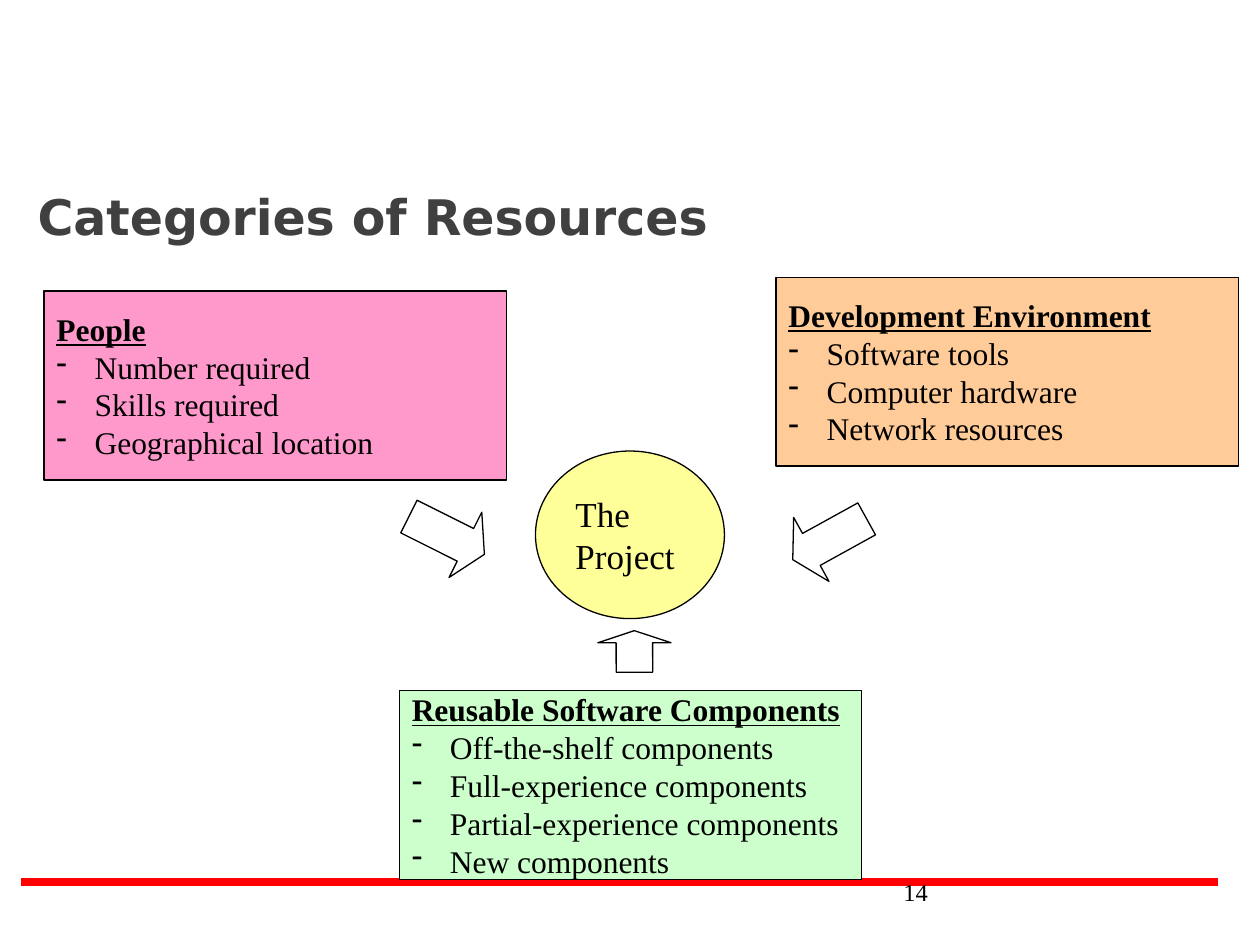
from pptx import Presentation
from pptx.dml.color import RGBColor as RGB
from pptx.enum.shapes import MSO_CONNECTOR as Conn, MSO_SHAPE as Geo
from pptx.enum.text import MSO_ANCHOR as Anchor, PP_ALIGN as Align
from pptx.oxml.ns import qn
from pptx.util import Inches, Pt
from lxml.etree import SubElement
from dataclasses import dataclass


@dataclass(frozen=True)
class Theme:
    white: str = "FFFFFF"
    black: str = "000000"
    gray: str = "404040"
    red: str = "FF0000"
    pink: str = "FF99CC"
    peach: str = "FFCC99"
    green: str = "CCFFCC"
    yellow: str = "FFFF99"
    serif: str = "Times New Roman"
    sans: str = "DejaVu Sans"
    title: int = 28
    hub: int = 20
    body: int = 18
    page: int = 14
    edge: float = 0.75
    rule: float = 4.5


T = Theme()
BOX = (3.67, 1.5)
ARROW = (0.67, 0.58)
DASH = 0.24  # hanging indent of the dash lists

GROUPS = [
    ((0.35, 2.31), T.pink, "People",
     ["Number required", "Skills required", "Geographical location"]),
    ((6.16, 2.2), T.peach, "Development Environment",
     ["Software tools", "Computer hardware", "Network resources"]),
    ((3.17, 5.48), T.green, "Reusable Software Components",
     ["Off-the-shelf components", "Full-experience components",
      "Partial-experience components", "New components"]),
]
# Position, size and turn of each arrow aimed at the hub
ARROWS = [
    ((3.21, 3.96), ARROW, 26.6),
    ((6.25, 3.99), ARROW, 151.1),
    ((4.87, 4.88), (0.33, 0.58), 269.9),
]


def inch(*vals):
    return [Inches(v) for v in vals]


def shape(slide, geo, pos, size, fill, edge=T.black):
    item = slide.shapes.add_shape(geo, *inch(*pos, *size))
    item.shadow.inherit = False
    item.fill.solid()
    item.fill.fore_color.rgb = RGB.from_string(fill)
    if edge:
        item.line.color.rgb = RGB.from_string(edge)
        item.line.width = Pt(T.edge)
    else:
        item.line.fill.background()
    return item


def frame(item):
    text = item.text_frame
    text.word_wrap = True
    text.vertical_anchor = Anchor.MIDDLE
    return text


def write(para, words, points, color=T.black, name=T.serif, **more):
    para.alignment = Align.LEFT
    run = para.add_run()
    run.text = words
    look = {"size": Pt(points), "name": name, **more}
    for key, val in look.items():
        setattr(run.font, key, val)
    run.font.color.rgb = RGB.from_string(color)


def dash(para):
    props = para._p.get_or_add_pPr()
    props.set("marL", str(Inches(DASH)))
    props.set("indent", str(-Inches(DASH)))
    SubElement(props, qn("a:buChar")).set("char", "-")


def label(slide, pos, size, words, points, left=0.1, **look):
    text = frame(slide.shapes.add_textbox(*inch(*pos, *size)))
    text.margin_left = Inches(left)
    write(text.paragraphs[0], words, points, **look)


def rule(slide, start, end):
    line = slide.shapes.add_connector(Conn.STRAIGHT, *inch(*start, *end))
    line.line.color.rgb = RGB.from_string(T.red)
    line.line.width = Pt(T.rule)
    SubElement(line._element.spPr, qn("a:effectLst"))


def group(slide, pos, fill, head, items):
    text = frame(shape(slide, Geo.RECTANGLE, pos, BOX, fill))
    write(text.paragraphs[0], head, T.body, bold=True, underline=True)
    for item in items:
        para = text.add_paragraph()
        write(para, " " + item, T.body)
        dash(para)


def hub(slide, pos, size, lines):
    text = frame(shape(slide, Geo.OVAL, pos, size, T.yellow))
    for i, line in enumerate(lines):
        para = text.add_paragraph() if i else text.paragraphs[0]
        write(para, line, T.hub)


def arrow(slide, pos, size, turn):
    item = shape(slide, Geo.RIGHT_ARROW, pos, size, T.white)
    item.adjustments[0] = 0.5
    item.adjustments[1] = 0.29
    item.rotation = turn


def main():
    deck = Presentation()
    deck.slide_width, deck.slide_height = inch(10, 7.5)
    slide = deck.slides.add_slide(deck.slide_layouts[6])

    # Backdrop, footer rule and page number
    shape(slide, Geo.RECTANGLE, (0, 0), (10, 7.5), T.white, None)
    rule(slide, (0.17, 7), (9.67, 7))
    label(slide, (7.17, 6.83), (2.08, 0.5), "14", T.page, left=0)

    # Title
    label(slide, (0.2, 1.09), (8.5, 1.25), "Categories of Resources",
          T.title, color=T.gray, name=T.sans, bold=True)

    # Resource groups around the project
    for part in GROUPS:
        group(slide, *part)
    hub(slide, (4.25, 3.58), (1.5, 1.33), ["The", "Project"])
    for part in ARROWS:
        arrow(slide, *part)

    deck.save("out.pptx")


if __name__ == "__main__":
    main()
